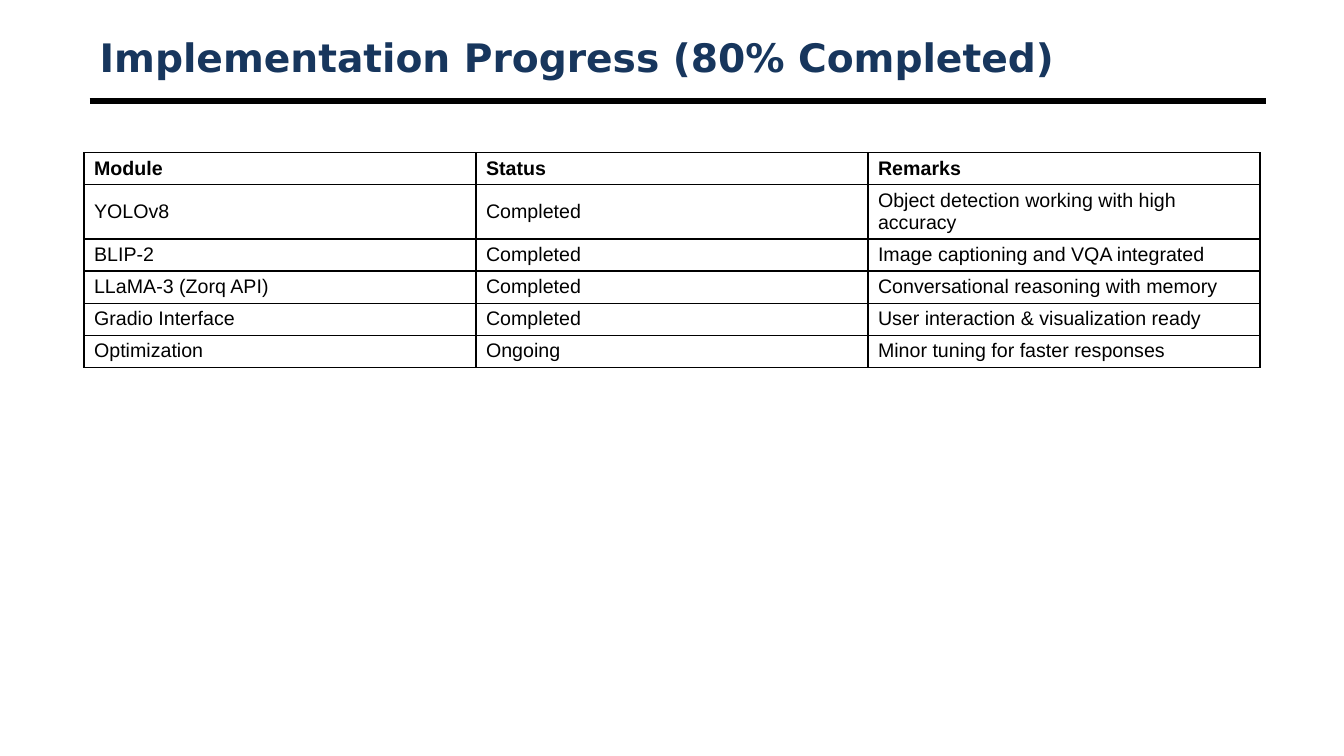
from lxml import etree
from pptx import Presentation
from pptx.dml.color import RGBColor
from pptx.enum import shapes, text
from pptx.oxml.ns import qn
from pptx.util import Pt

NAVY = RGBColor(0x17, 0x36, 0x5D)
BLACK = RGBColor(0, 0, 0)

ROW_HEIGHT, TALL_ROW_HEIGHT = 22.9, 38.7
PROGRESS = [
    ("Module", "Status", "Remarks"),
    ("YOLOv8", "Completed", "Object detection working with high accuracy"),
    ("BLIP-2", "Completed", "Image captioning and VQA integrated"),
    ("LLaMA-3 (Zorq API)", "Completed", "Conversational reasoning with memory"),
    ("Gradio Interface", "Completed", "User interaction & visualization ready"),
    ("Optimization", "Ongoing", "Minor tuning for faster responses"),
]
ROW_HEIGHTS = [ROW_HEIGHT, TALL_ROW_HEIGHT] + [ROW_HEIGHT] * 4


def apply(target, values):
    for name, value in values.items():
        setattr(target, name, value)


class SlideBuilder:
    title_font = {"name": "DejaVu Sans", "size": Pt(28), "bold": True}
    cell_font = {"name": "Arial", "size": Pt(14)}
    cell_format = {
        "vertical_anchor": text.MSO_ANCHOR.MIDDLE,
        "margin_left": Pt(7.2), "margin_right": Pt(7.2),
        "margin_top": Pt(3.4), "margin_bottom": Pt(3.4),
    }

    def __init__(self, slide):
        self.slide = slide

    def title(self, wording, left, top, width, height):
        shape = self.slide.shapes.title
        apply(shape, {"left": Pt(left), "top": Pt(top),
                      "width": Pt(width), "height": Pt(height)})
        frame = shape.text_frame
        apply(frame, {"text": wording, "word_wrap": True,
                      "auto_size": text.MSO_AUTO_SIZE.NONE,
                      "vertical_anchor": text.MSO_ANCHOR.MIDDLE})
        paragraph = frame.paragraphs[0]
        paragraph.alignment = text.PP_ALIGN.LEFT
        font = paragraph.runs[0].font
        apply(font, self.title_font)
        font.color.rgb = NAVY

    def rule(self, left, top, width, weight):
        line = self.slide.shapes.add_connector(
            shapes.MSO_CONNECTOR.STRAIGHT,
            Pt(left), Pt(top), Pt(left + width), Pt(top))
        line.line.color.rgb = BLACK
        line.line.width = Pt(weight)
        etree.SubElement(line._element.spPr, qn("a:effectLst"))

    def table(self, rows, heights, left, top, width):
        table = self.slide.shapes.add_table(
            len(rows), len(rows[0]), Pt(left), Pt(top),
            Pt(width), Pt(sum(heights))).table
        apply(table, {"first_row": False, "horz_banding": False})
        for row_index, (wordings, height) in enumerate(zip(rows, heights)):
            table.rows[row_index].height = Pt(height)
            for column_index, wording in enumerate(wordings):
                self.cell(table.cell(row_index, column_index), wording,
                          bold=row_index == 0)

    def cell(self, cell, wording, bold):
        cell.text = wording
        apply(cell, self.cell_format)
        font = cell.text_frame.paragraphs[0].runs[0].font
        apply(font, {**self.cell_font, "bold": bold})
        font.color.rgb = BLACK
        self.borders(cell, 1)
        cell.fill.background()

    def borders(self, cell, weight):
        properties = cell._tc.get_or_add_tcPr()
        for side in ("lnL", "lnR", "lnT", "lnB"):
            border = etree.SubElement(properties, qn(f"a:{side}"), w=str(Pt(weight)))
            fill = etree.SubElement(border, qn("a:solidFill"))
            etree.SubElement(fill, qn("a:srgbClr"), val=str(BLACK))


def main():
    presentation = Presentation()
    apply(presentation, {"slide_width": Pt(960), "slide_height": Pt(540)})
    title_only = presentation.slide_layouts[5]
    builder = SlideBuilder(presentation.slides.add_slide(title_only))
    builder.rule(64, 72, 840, weight=4.5)
    builder.title("Implementation Progress (80% Completed)", 64, 21.6, 840, 38.4)
    builder.table(PROGRESS, ROW_HEIGHTS, 60, 109.2, 840)
    presentation.save("out.pptx")


if __name__ == "__main__":
    main()
